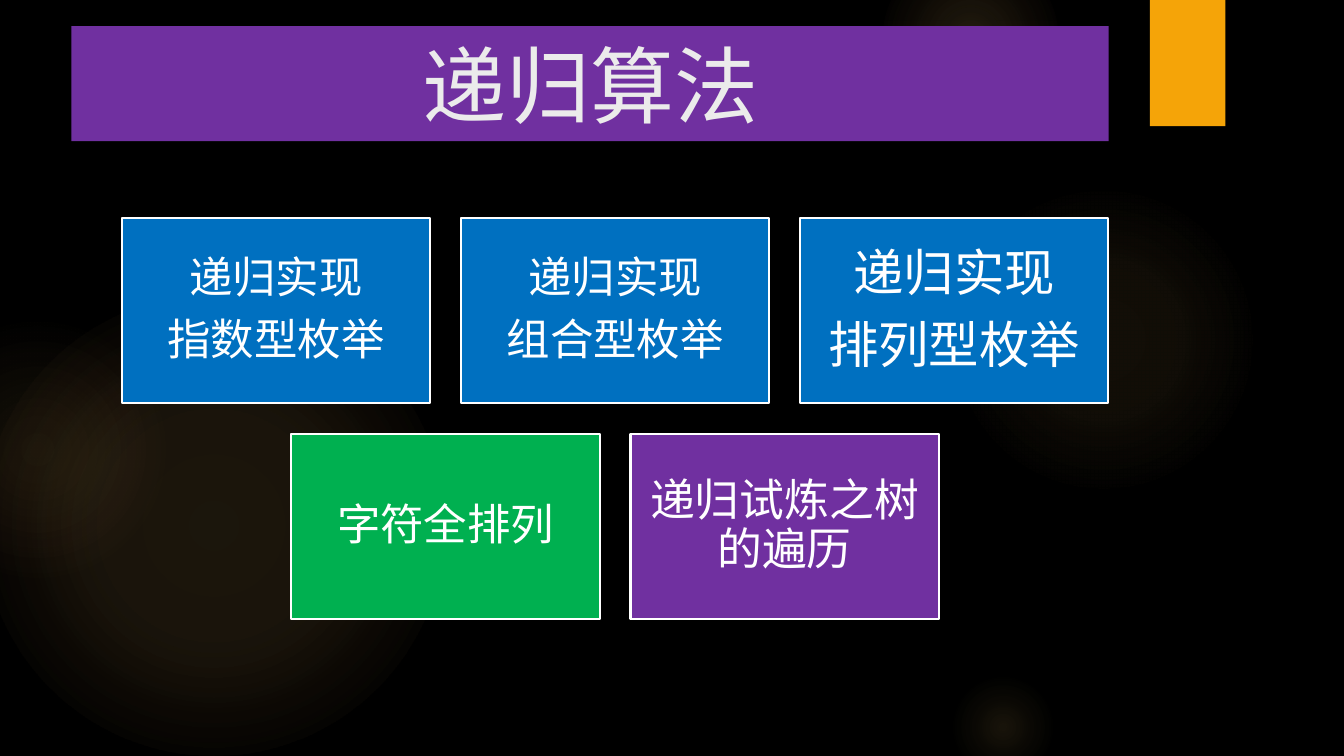
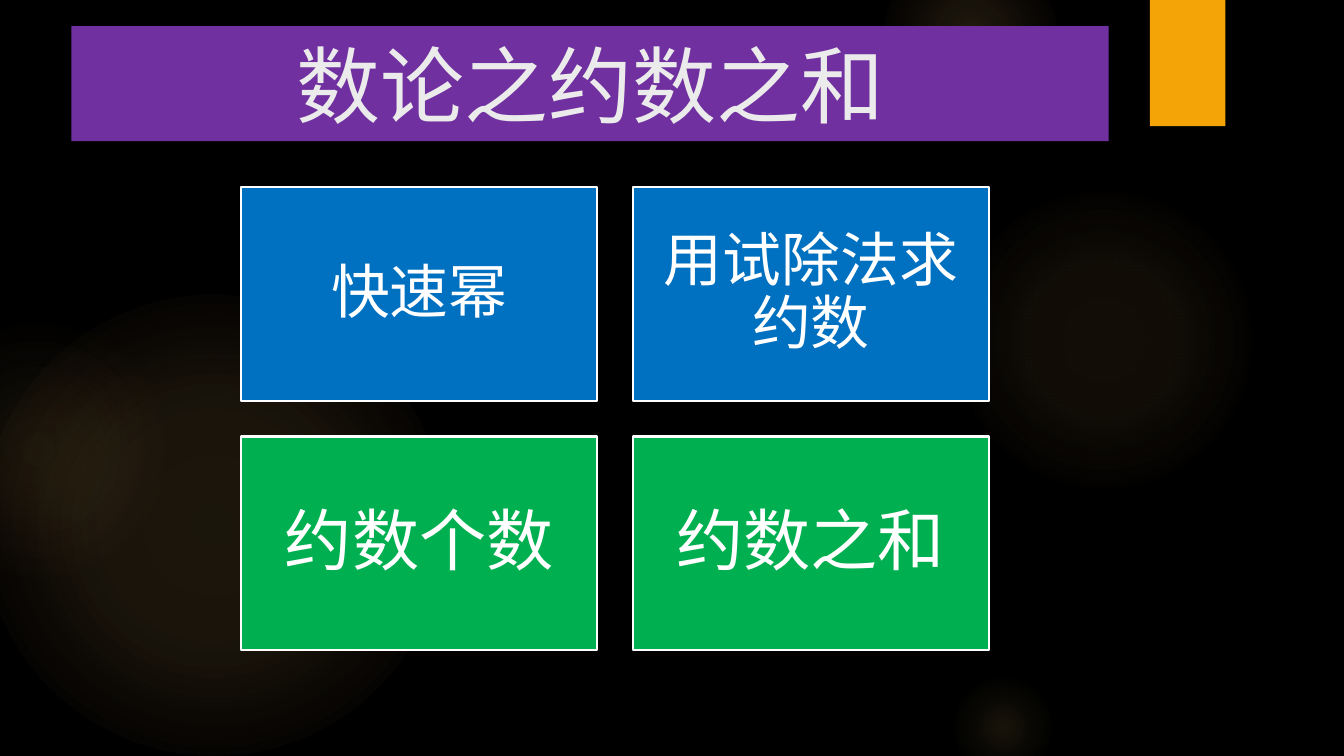
from dataclasses import dataclass

from lxml import etree
from pptx import Presentation
from pptx.dml.color import RGBColor
from pptx.enum.shapes import MSO_SHAPE
from pptx.enum.text import MSO_ANCHOR, MSO_AUTO_SIZE, PP_ALIGN
from pptx.oxml import parse_xml
from pptx.oxml.ns import nsdecls, qn
from pptx.shapes.autoshape import Shape
from pptx.slide import Slide, SlideLayout
from pptx.text.text import TextFrame
from pptx.util import Cm, Pt

RECTANGLE, OVAL = MSO_SHAPE.RECTANGLE, MSO_SHAPE.OVAL
CENTER, MIDDLE = PP_ALIGN.CENTER, MSO_ANCHOR.MIDDLE
NO_AUTOFIT = MSO_AUTO_SIZE.NONE

BLACK, WHITE, TITLE_TEXT = "000000", "FFFFFF", "EBEBEB"
BLUE, GREEN, PURPLE, ORANGE = "0070C0", "00B050", "7030A0", "F5A408"
GLOW, WARM_GLOW = "FAC96A", "F59B74"
TITLE_FONT, BODY_FONT = "Quicksand", "Noto Sans CJK SC"

TITLE_ONLY = 5
GRID_CENTER_X, GRID_CENTER_Y = 15.5, 10.55
CARD_HEIGHT_RATIO, CARD_GAP_RATIO = 0.6, 0.1


@dataclass(frozen=True)
class Glow:
    left: float
    top: float
    size: float
    stops: tuple[tuple[int, int], ...]  # position and opacity, in percent
    edge_color: str = GLOW


@dataclass(frozen=True)
class Card:
    lines: tuple[str, ...]
    color: str
    text_size: int


@dataclass(frozen=True)
class CardSlide:
    title: str
    card_width: float
    rows: tuple[tuple[Card, ...], ...]


GLOWS = (
    Glow(-0.43, 7.42, 11.63, ((0, 11), (36, 10), (75, 0))),
    Glow(-2.34, 8.05, 6.55, ((0, 8), (36, 5), (71, 0)), WARM_GLOW),
    Glow(23.9, 4.65, 7.82, ((0, 7), (36, 6), (69, 0))),
    Glow(22.23, -1.27, 4.45, ((0, 14), (36, 7), (73, 0))),
    Glow(23.9, 16.94, 2.74, ((0, 10), (31, 5), (66, 0))),
)

SLIDES = (
    CardSlide("递归算法", 7.77, (
        (Card(("递归实现", "指数型枚举"), BLUE, 31),
         Card(("递归实现", "组合型枚举"), BLUE, 31),
         Card(("递归实现", "排列型枚举"), BLUE, 36)),
        (Card(("字符全排列",), GREEN, 31),
         Card(("递归试炼之树的遍历",), PURPLE, 32)),
    )),
    CardSlide("数论之约数之和", 8.97, (
        (Card(("快速幂",), BLUE, 42), Card(("用试除法求约数",), BLUE, 42)),
        (Card(("约数个数",), GREEN, 48), Card(("约数之和",), GREEN, 48)),
    )),
)


def rgb(color: str) -> RGBColor:
    return RGBColor.from_string(color)


def fill_solid(shape: Shape, color: str) -> None:
    shape.fill.solid()
    shape.fill.fore_color.rgb = rgb(color)


def add_run(text_frame: TextFrame, index: int, text: str, size: int,
            font: str, color: str) -> None:
    """Write one centred paragraph, reusing the frame's first one."""
    paragraph = text_frame.add_paragraph() if index else text_frame.paragraphs[0]
    paragraph.alignment = CENTER
    paragraph.line_spacing = 0.9
    if index < 1:
        paragraph.space_before = Pt(0)
    paragraph.space_after = Pt(round(0.35 * size, 1))
    run = paragraph.add_run()
    run.text = text
    run.font.size = Pt(size)
    run.font.name = font
    run.font.color.rgb = rgb(color)
    east_asian = etree.SubElement(run.font._element, qn("a:ea"))
    east_asian.set("typeface", BODY_FONT)


def add_glow(slide: Slide, glow: Glow) -> Shape:
    shape = slide.shapes.add_shape(
        OVAL, Cm(glow.left), Cm(glow.top), Cm(glow.size), Cm(glow.size))
    shape.shadow.inherit = False
    shape.line.fill.background()
    stops = "".join(
        f'<a:gs pos="{position * 1000}">'
        f'<a:srgbClr val="{GLOW if opacity else glow.edge_color}">'
        f'<a:alpha val="{opacity * 1000}"/></a:srgbClr></a:gs>'
        for position, opacity in glow.stops)
    gradient = parse_xml(
        f'<a:gradFill {nsdecls("a")}><a:gsLst>{stops}</a:gsLst><a:path path="circle">'
        '<a:fillToRect l="50000" t="50000" r="50000" b="50000"/></a:path></a:gradFill>')
    shape.element.spPr.find(qn("a:prstGeom")).addnext(gradient)
    return shape


def add_ribbon(slide: Slide) -> Shape:
    shape = slide.shapes.add_shape(RECTANGLE, Cm(28.98), Cm(0), Cm(1.9), Cm(3.18))
    fill_solid(shape, ORANGE)
    shape.line.fill.background()
    shape.shadow.inherit = False
    shape.element.spPr.find(qn("a:effectLst")).append(parse_xml(
        f'<a:outerShdw {nsdecls("a")} blurRad="{Pt(3)}" dist="{Pt(2)}" dir="5400000">'
        f'<a:srgbClr val="{BLACK}"><a:alpha val="45000"/></a:srgbClr></a:outerShdw>'))
    return shape


def decorate_layout(layout: SlideLayout, slide: Slide) -> None:
    """Draw the shared decoration on a slide and move it to the layout."""
    layout.background.fill.solid()
    layout.background.fill.fore_color.rgb = rgb(BLACK)
    decoration = [add_glow(slide, glow) for glow in GLOWS] + [add_ribbon(slide)]
    for shape in decoration:
        layout.shapes.element.append(shape.element)


def set_title(slide: Slide, text: str) -> None:
    title = slide.shapes.title
    title.left, title.top, title.width, title.height = Cm(1.8), Cm(0.66), Cm(26.14), Cm(2.9)
    fill_solid(title, PURPLE)
    text_frame = title.text_frame
    text_frame.auto_size = NO_AUTOFIT
    text_frame.vertical_anchor = MIDDLE
    add_run(text_frame, 0, text, 60, TITLE_FONT, TITLE_TEXT)
    paragraph = text_frame.paragraphs[0]
    paragraph.line_spacing = 1.0
    paragraph.space_after = Pt(0)


def add_card(slide: Slide, card: Card, left: float, top: float,
             width: float, height: float) -> None:
    shape = slide.shapes.add_shape(RECTANGLE, Cm(left), Cm(top), Cm(width), Cm(height))
    shape.shadow.inherit = False
    fill_solid(shape, card.color)
    shape.line.color.rgb = rgb(WHITE)
    shape.line.width = Pt(1.5)
    text_frame = shape.text_frame
    text_frame.word_wrap = True
    text_frame.vertical_anchor = MIDDLE
    inset = Cm(0.01 * card.text_size)
    text_frame.margin_left = text_frame.margin_right = inset
    text_frame.margin_top = text_frame.margin_bottom = inset
    for index, line in enumerate(card.lines):
        add_run(text_frame, index, line, card.text_size, BODY_FONT, WHITE)


def add_card_grid(slide: Slide, content: CardSlide) -> None:
    """Centre each row of cards, and the rows together, on the grid's centre."""
    width = content.card_width
    height, gap = width * CARD_HEIGHT_RATIO, width * CARD_GAP_RATIO
    row_count = len(content.rows)
    first_top = GRID_CENTER_Y - (row_count * (height + gap) - gap) / 2
    for row_index, row in enumerate(content.rows):
        first_left = GRID_CENTER_X - (len(row) * (width + gap) - gap) / 2
        top = first_top + row_index * (height + gap)
        for column, card in enumerate(row):
            add_card(slide, card, first_left + column * (width + gap), top, width, height)


def main() -> None:
    presentation = Presentation()
    presentation.slide_width, presentation.slide_height = Cm(33.87), Cm(19.05)
    layout = presentation.slide_layouts[TITLE_ONLY]
    for index, content in enumerate(SLIDES):
        slide = presentation.slides.add_slide(layout)
        if index == 0:
            decorate_layout(layout, slide)
        set_title(slide, content.title)
        add_card_grid(slide, content)
    presentation.save("out.pptx")


if __name__ == "__main__":
    main()
